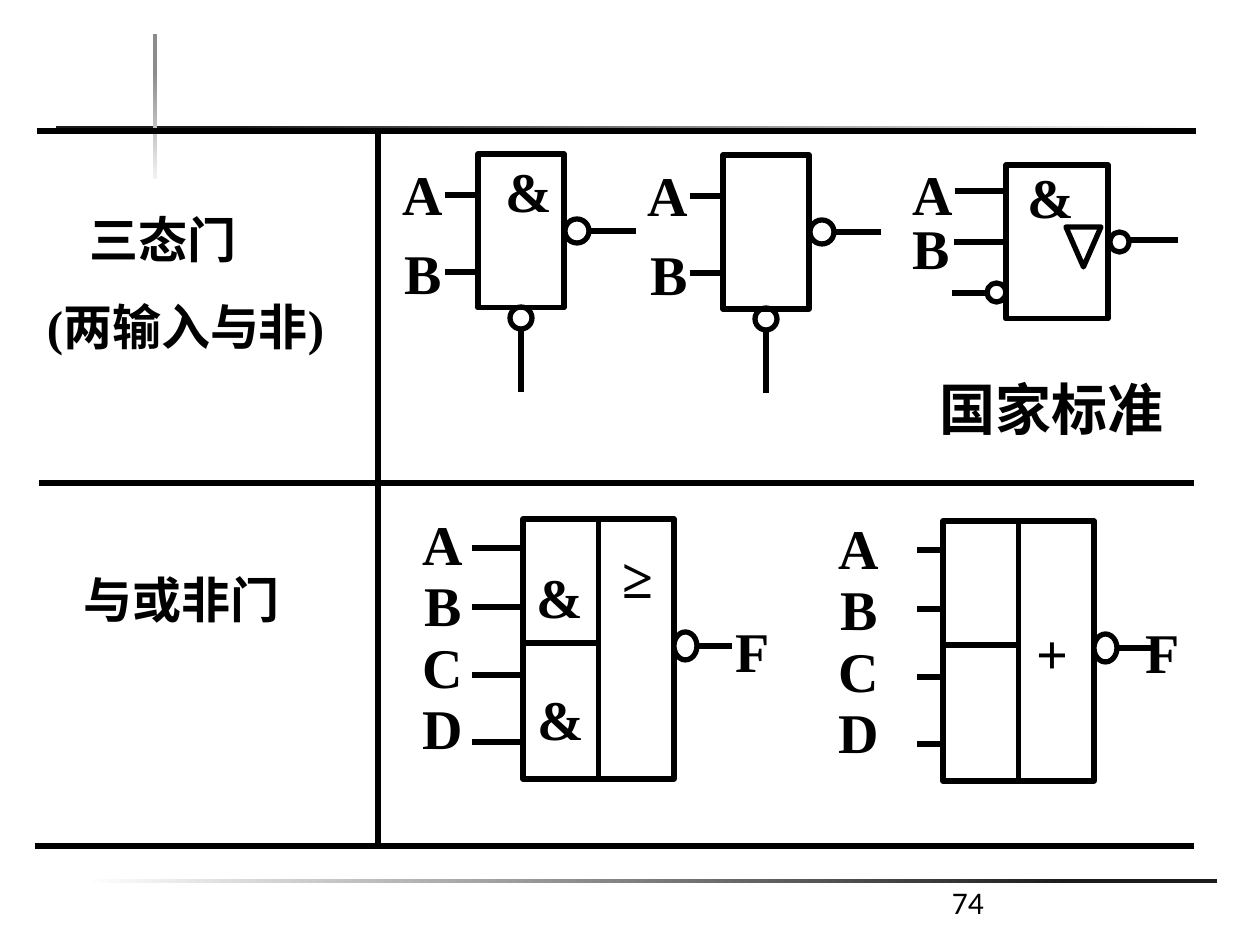
from lxml import etree
from pptx import Presentation
from pptx.dml.color import RGBColor
from pptx.enum.shapes import MSO_CONNECTOR, MSO_SHAPE
from pptx.enum.text import MSO_ANCHOR, PP_ALIGN
from pptx.oxml.ns import qn
from pptx.util import Pt

PX = 914400 / 126
BLACK = RGBColor(0x00, 0x00, 0x00)
WHITE = RGBColor(0xFF, 0xFF, 0xFF)
CHARCOAL = RGBColor(0x1C, 0x1C, 0x1C)
GREY = RGBColor(0x8C, 0x8C, 0x8C)
PALE = RGBColor(0xF2, 0xF2, 0xF2)

presentation = Presentation()
presentation.slide_width = round(1260 * PX)
presentation.slide_height = round(945 * PX)
slide = presentation.slides.add_slide(presentation.slide_layouts[6])


def add_outline(kind, x, y, width, height, filled=False):
    shape = slide.shapes.add_shape(kind, *[round(v * PX) for v in (x, y, width, height)])
    shape.shadow.inherit = False
    if filled:
        shape.fill.solid()
        shape.fill.fore_color.rgb = WHITE
    else:
        shape.fill.background()
    shape.line.color.rgb = BLACK
    shape.line.width = Pt(3)
    return shape


def add_wire(x1, y1, x2, y2):
    wire = slide.shapes.add_connector(
        MSO_CONNECTOR.STRAIGHT, *[round(v * PX) for v in (x1, y1, x2, y2)])
    wire.line.color.rgb = BLACK
    wire.line.width = Pt(3)
    etree.SubElement(wire._element.spPr, qn("a:effectLst"))
    return wire


BARS = [
    (83, 879, 1134, 4, 0, [(0, WHITE), (0.87, CHARCOAL)]),
    (56, 126, 1134, 4, 0, [(0.16, CHARCOAL), (1, WHITE)]),
    (153, 34, 4, 145, 90, [(0, PALE), (0.74, GREY)]),
]
for x, y, width, height, angle, stops in BARS:
    bar = add_outline(MSO_SHAPE.RECTANGLE, x, y, width, height)
    bar.line.fill.background()
    bar.fill.gradient()
    bar.fill.gradient_angle = angle
    for stop, (position, color) in zip(bar.fill.gradient_stops, stops):
        stop.position = position
        stop.color.rgb = color

for rule in [(37, 131, 1196, 131), (378, 129, 378, 848),
             (39, 483, 1194, 483), (35, 846, 1194, 846)]:
    add_wire(*rule)

for x, y in [(478, 154), (723, 155)]:
    gate = add_outline(MSO_SHAPE.RECTANGLE, x, y, 86, 154)
    for input_y in (y + 41, y + 118):
        add_wire(x - 33, input_y, x, input_y)
    output = add_wire(x + 86, y + 77, x + 158, y + 77)
    output.begin_connect(gate, 3)
    add_outline(MSO_SHAPE.OVAL, x + 87, y + 65, 24, 24, True)
    add_outline(MSO_SHAPE.OVAL, x + 32, y + 153, 22, 22)
    add_wire(x + 43, y + 177, x + 43, y + 238)

standard_gate = add_outline(MSO_SHAPE.RECTANGLE, 1006, 165, 102, 154)
add_wire(955, 191, 1006, 191)
add_wire(954, 242, 1006, 242).end_connect(standard_gate, 1)
add_wire(952, 293, 987, 293)
add_wire(1129, 240, 1178, 240)
add_outline(MSO_SHAPE.OVAL, 987, 283, 19, 19)
add_outline(MSO_SHAPE.OVAL, 1110, 232, 19, 20)
add_outline(MSO_SHAPE.FLOWCHART_MERGE, 1066, 227, 35, 40)

for x, y, input_length in [(523, 519, 51), (943, 521, 26)]:
    block = add_outline(MSO_SHAPE.RECTANGLE, x, y, 151, 260, True)
    for offset in (29, 88, 156, 223):
        add_wire(x - input_length, y + offset, x, y + offset)
    divider = add_wire(x + 75, y, x + 75, y + 260)
    divider.begin_connect(block, 0)
    divider.end_connect(block, 2)
    add_wire(x, y + 124, x + 75, y + 124)
    add_outline(MSO_SHAPE.OVAL, x + 151, y + 113, 23, 28, True)
    add_wire(x + 174, y + 127, x + 209, y + 127)

SYMBOL = {"size": Pt(32), "name": "Times New Roman", "bold": True}
HEADING = {"size": Pt(28), "name": "Times New Roman", "bold": True}
NUMBER = {"size": Pt(18), "name": "Calibri", "bold": False}
CENTERED = {"alignment": PP_ALIGN.CENTER}
STACKED = {"alignment": PP_ALIGN.CENTER, "line_spacing": Pt(35)}
LEFT = {"alignment": PP_ALIGN.LEFT}

LABELS = [
    (["A"], 423, 193, 66, 80, CENTERED, SYMBOL),
    (["B"], 423, 272, 66, 80, CENTERED, SYMBOL),
    (["&"], 529, 190, 62, 80, CENTERED, SYMBOL),
    (["A"], 668, 194, 66, 80, CENTERED, SYMBOL),
    (["B"], 669, 273, 66, 80, CENTERED, SYMBOL),
    (["A"], 933, 193, 66, 80, CENTERED, SYMBOL),
    (["B"], 931, 247, 66, 80, CENTERED, SYMBOL),
    (["&"], 1051, 196, 62, 80, CENTERED, SYMBOL),
    (["国家标准"], 1052, 408, 310, 80, CENTERED, SYMBOL),
    (["三态门", "(两输入与非)"], 213, 282, 332, 160, LEFT, HEADING),
    (["与或非门"], 227, 599, 286, 72, LEFT, HEADING),
    (["A", "B", "C", "D"], 443, 638, 66, 248, STACKED, SYMBOL),
    (["&"], 560, 596, 72, 80, CENTERED, SYMBOL),
    (["&"], 561, 718, 72, 80, CENTERED, SYMBOL),
    (["≥"], 638, 576, 57, 80, CENTERED, SYMBOL),
    (["F"], 753, 650, 59, 80, CENTERED, SYMBOL),
    (["A", "B", "C", "D"], 859, 642, 66, 248, STACKED, SYMBOL),
    (["+"], 1052, 652, 57, 80, CENTERED, SYMBOL),
    (["F"], 1163, 651, 59, 80, CENTERED, SYMBOL),
    (["74"], 1083, 902, 262, 63, LEFT, NUMBER),
]
for lines, center_x, center_y, width, height, layout, face in LABELS:
    box = slide.shapes.add_textbox(*[round(v * PX) for v in (
        center_x - width / 2, center_y - height / 2, width, height)])
    frame = box.text_frame
    frame.word_wrap = True
    frame.vertical_anchor = MSO_ANCHOR.MIDDLE
    frame.margin_left = frame.margin_right = 0
    frame.margin_top = frame.margin_bottom = 0
    frame.text = "\n".join(lines)
    for paragraph in frame.paragraphs:
        for attribute, value in layout.items():
            setattr(paragraph, attribute, value)
        for attribute, value in face.items():
            setattr(paragraph.font, attribute, value)
        paragraph.font.color.rgb = BLACK
    if lines[0] == "三态门":
        first, second = frame.paragraphs
        first._p.get_or_add_pPr().set("marL", str(round(43 * PX)))
        second.space_before = Pt(16)

presentation.save("out.pptx")
